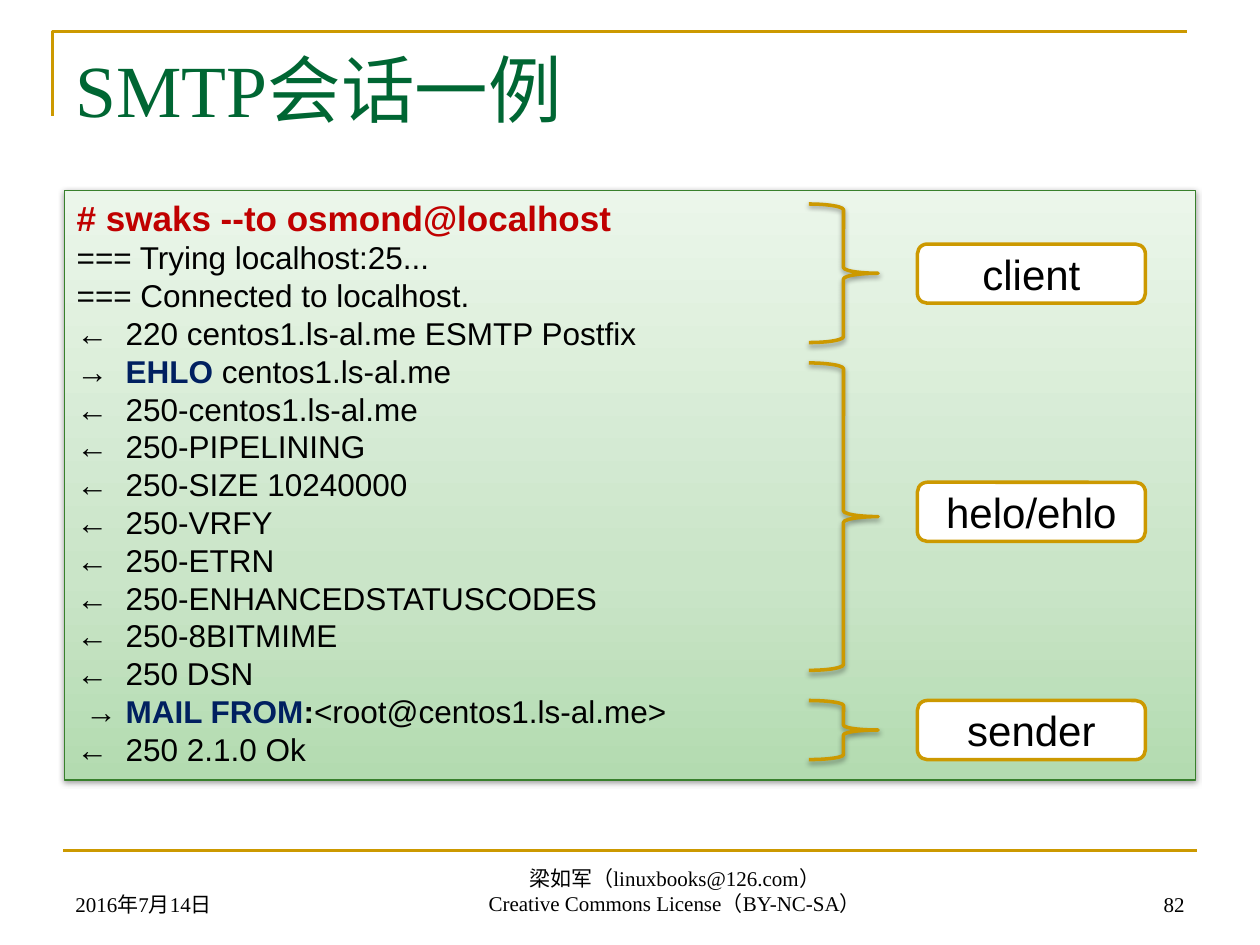
from copy import deepcopy
from dataclasses import dataclass
from typing import NamedTuple

from lxml.etree import SubElement
from pptx import Presentation
from pptx.dml.color import RGBColor as Rgb
from pptx.enum.shapes import MSO_CONNECTOR as Link, MSO_SHAPE as Kind
from pptx.enum.text import MSO_ANCHOR as Anchor, PP_ALIGN as Align
from pptx.oxml.ns import qn
from pptx.util import Pt


@dataclass(frozen=True)
class Theme:
    gold: str = "CC9900"
    green: str = "006633"
    edge: str = "38802C"
    red: str = "C00000"
    navy: str = "002060"
    black: str = "000000"
    white: str = "FFFFFF"
    fade: tuple = ((0, "B3DBB0"), (0.35, "CAE5C8"), (1, "EBF6EA"))
    serif: str = "Times New Roman"
    sans: str = "Arial"
    head: float = 42
    label: float = 24
    lead: float = 20
    code: float = 18
    foot: float = 12


class Box(NamedTuple):
    left: float
    top: float
    width: float
    height: float

    def pts(self) -> list:
        return [Pt(n) for n in self]


class Run(NamedTuple):
    text: str
    color: str = ""
    bold: bool = False
    size: float = 0


class Step(NamedTuple):
    name: str
    top: float
    height: float
    label: float


T = Theme()
STEPS = [
    Step("client", 116.6, 79.2, 139.5),
    Step("helo/ehlo", 207.4, 175.7, 275.6),
    Step("sender", 400.3, 33.8, 400.3),
]
REPLIES = ["centos1.ls-al.me", "PIPELINING", "SIZE 10240000", "VRFY",
           "ETRN", "ENHANCEDSTATUSCODES", "8BITMIME"]
LINES = [
    [Run("# swaks --to osmond@localhost", T.red, True, T.lead)],
    "=== Trying localhost:25...",
    "=== Connected to localhost.",
    "←\t220 centos1.ls-al.me ESMTP Postfix",
    [Run("→\t"), Run("EHLO", T.navy, True), Run(" centos1.ls-al.me")],
    *[f"←\t250-{reply}" for reply in REPLIES],
    "←\t250 DSN",
    [Run(" →\t"), Run("MAIL FROM", T.navy, True), Run(":", bold=True),
     Run("<root@centos1.ls-al.me>")],
    "←\t250 2.1.0 Ok",
]


def write(shape, lines: list, font: str = T.sans, size: float = T.code,
          color: str = T.black, align=Align.LEFT, anchor=Anchor.TOP,
          tab: float = 0) -> None:
    frame = shape.text_frame
    frame.word_wrap = True
    frame.vertical_anchor = anchor
    for i, line in enumerate(lines):
        para = frame.add_paragraph() if i else frame.paragraphs[0]
        para.alignment = align
        para.line_spacing = 1.0
        para.space_before = Pt(0)
        if tab:
            tabs = SubElement(para._p.get_or_add_pPr(), qn("a:tabLst"))
            SubElement(tabs, qn("a:tab"), pos=str(Pt(tab)), algn="l")
        for part in [Run(line)] if isinstance(line, str) else line:
            run = para.add_run()
            run.text = part.text
            run.font.name = font
            run.font.size = Pt(part.size or size)
            run.font.bold = part.bold
            run.font.color.rgb = Rgb.from_string(part.color or color)


def stroke(shape, color: str, width: float) -> None:
    shape.line.color.rgb = Rgb.from_string(color)
    shape.line.width = Pt(width)


def shade(shape) -> None:
    effects = shape._element.spPr.find(qn("a:effectLst"))
    cast = SubElement(effects, qn("a:outerShdw"), blurRad=str(Pt(3.1)),
                      dist=str(Pt(1.6)), dir="5400000", rotWithShape="0")
    color = SubElement(cast, qn("a:srgbClr"), val=T.black)
    SubElement(color, qn("a:alpha"), val="38000")


def draw(slide, kind, box: Box, color: str, width: float, fill: str = ""):
    shape = slide.shapes.add_shape(kind, *box.pts())
    shape.shadow.inherit = False
    stroke(shape, color, width)
    if fill:
        shape.fill.solid()
        shape.fill.fore_color.rgb = Rgb.from_string(fill)
    else:
        shape.fill.background()
    return shape


def blend(shape) -> None:
    shape.fill.gradient()
    shape.fill.gradient_angle = 90
    stops = shape._element.spPr.find(qn("a:gradFill")).find(qn("a:gsLst"))
    stops.append(deepcopy(stops[0]))
    for stop, (place, color) in zip(shape.fill.gradient_stops, T.fade):
        stop.position = place
        stop.color.rgb = Rgb.from_string(color)


def frame(slide) -> None:
    pen = slide.shapes.build_freeform(Pt(30.2), Pt(66.2))
    pen.add_line_segments([(Pt(30.2), Pt(18)), (Pt(678.2), Pt(18))], close=False)
    bend = pen.convert_to_shape()
    bend.shadow.inherit = False
    bend.fill.background()
    stroke(bend, T.gold, 1.5)
    rule = slide.shapes.add_connector(Link.STRAIGHT, Pt(36), Pt(486), Pt(684), Pt(486))
    stroke(rule, T.gold, 1.5)
    SubElement(rule._element.spPr, qn("a:effectLst"))


def footer(slide, box: Box, lines: list, align) -> None:
    write(slide.shapes.add_textbox(*box.pts()), lines, font=T.serif,
          size=T.foot, align=align, anchor=Anchor.BOTTOM)


def mark(slide, step: Step) -> None:
    brace = draw(slide, Kind.RIGHT_BRACE,
                 Box(462.2, step.top, 39.6, step.height), T.gold, 2)
    shade(brace)
    label = draw(slide, Kind.ROUNDED_RECTANGLE,
                 Box(524.2, step.label, 130.3, 33.8), T.gold, 2, T.white)
    write(label, [step.name], size=T.label, align=Align.CENTER, anchor=Anchor.MIDDLE)


def main() -> None:
    deck = Presentation()
    deck.slide_width, deck.slide_height = Pt(720), Pt(540)
    slide = deck.slides.add_slide(deck.slide_layouts[5])
    frame(slide)
    title = slide.shapes.title
    title.left, title.top, title.width, title.height = Box(36, 21.6, 648, 90).pts()
    write(title, ["SMTP会话一例"], font=T.serif, size=T.head, color=T.green)
    footer(slide, Box(36, 491.4, 168, 36), ["2016年7月14日"], Align.LEFT)
    footer(slide, Box(172.8, 491, 425.5, 36),
           ["梁如军（linuxbooks@126.com）", "Creative Commons License（BY-NC-SA）"],
           Align.CENTER)
    footer(slide, Box(516, 491.4, 168, 36), ["82"], Align.RIGHT)
    panel = draw(slide, Kind.RECTANGLE, Box(36.7, 108.7, 646.6, 337), T.edge, 0.75)
    blend(panel)
    shade(panel)
    write(panel, LINES, tab=28)
    for step in STEPS:
        mark(slide, step)
    deck.save("out.pptx")


if __name__ == "__main__":
    main()
